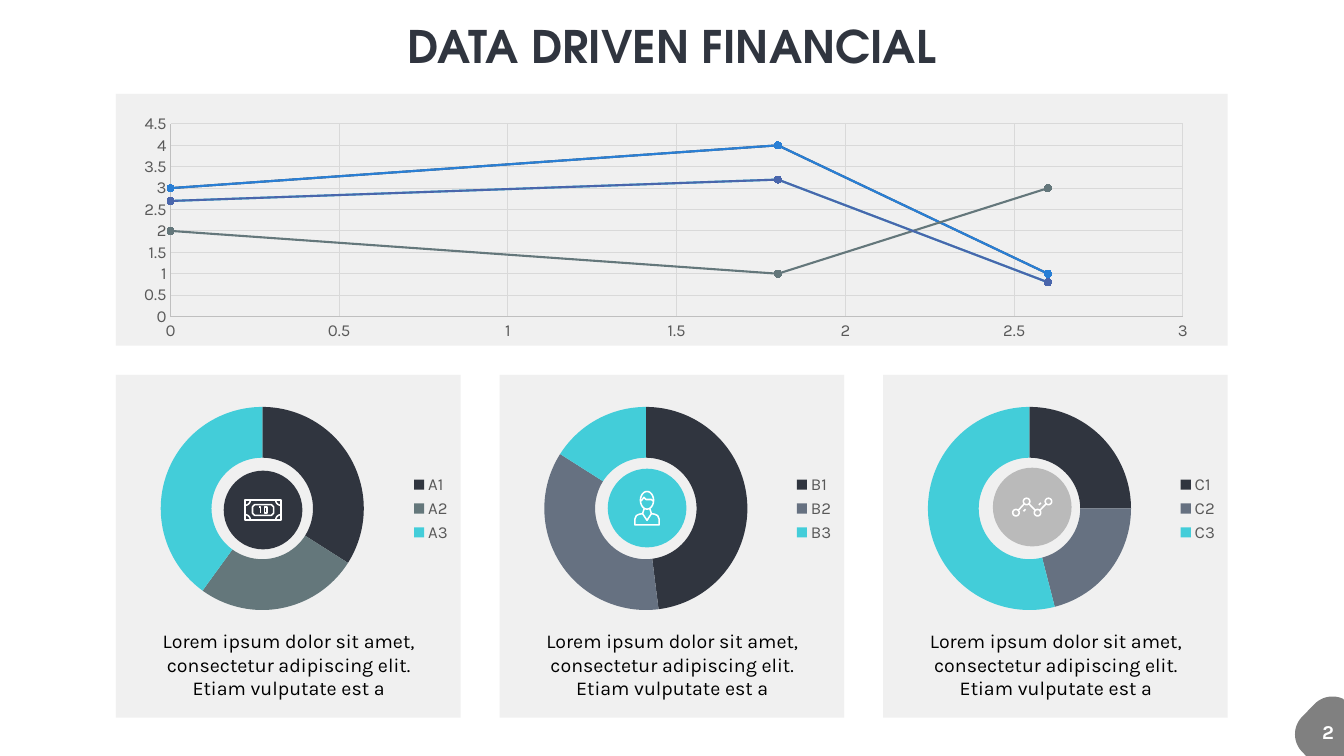
from math import cos, radians, sin

from lxml import etree
from pptx import Presentation
from pptx.chart.data import CategoryChartData, XyChartData
from pptx.dml.color import RGBColor
from pptx.enum.chart import (XL_CHART_TYPE, XL_LEGEND_POSITION,
                             XL_MARKER_STYLE, XL_TICK_MARK)
from pptx.enum.shapes import MSO_SHAPE
from pptx.enum.text import MSO_ANCHOR, PP_ALIGN
from pptx.oxml import parse_xml
from pptx.oxml.ns import qn
from pptx.util import Pt

DARK, CYAN, WHITE = "30353F", "43CDD9", "FFFFFF"
LOREM = ("Lorem ipsum dolor sit amet, consectetur adipiscing elit. "
         "Etiam vulputate est a")
CHART_NS = "http://schemas.openxmlformats.org/drawingml/2006/chart"


def rgb(color):
    """Turn a hex string into a colour."""
    return RGBColor.from_string(color)


def box(x, y, w, h):
    """Turn a place and size in points into lengths."""
    return Pt(x), Pt(y), Pt(w), Pt(h)


def write(tf, text, size=14, font="Karla", color="000000", bold=False,
          align=PP_ALIGN.CENTER, anchor=MSO_ANCHOR.TOP, wrap=True, inset=0):
    """Put one formatted paragraph into a text frame."""
    tf.word_wrap, tf.vertical_anchor = wrap, anchor
    tf.margin_left = tf.margin_right = Pt(inset)
    tf.margin_top = tf.margin_bottom = Pt(inset / 2)
    p = tf.paragraphs[0]
    p.alignment = align
    r = p.add_run()
    r.text = text
    r.font.size, r.font.name, r.font.bold = Pt(size), font, bold
    r.font.color.rgb = rgb(color)


def fill_shape(sp, color, opacity=None):
    """Fill a shape without line or shadow."""
    sp.shadow.inherit = False
    sp.fill.solid()
    sp.fill.fore_color.rgb = rgb(color)
    sp.line.fill.background()
    if opacity:
        clr = sp.fill._xPr.find(".//" + qn("a:srgbClr"))
        etree.SubElement(clr, qn("a:alpha")).set("val", str(opacity * 1000))


def panel(slide, x, y, w, h):
    """Draw a translucent grey panel."""
    sp = slide.shapes.add_shape(MSO_SHAPE.RECTANGLE, *box(x, y, w, h))
    fill_shape(sp, "CFCFCF", 30)


def arc(cx, cy, rx, ry, start, end):
    """List points along an elliptical arc."""
    return [(cx + rx * cos(radians(start + (end - start) * i / 24)),
             cy + ry * sin(radians(start + (end - start) * i / 24)))
            for i in range(25)]


def freeform(slide, contours, x=0, y=0):
    """Build one shape from contours given in points around x, y."""
    paths = [[(px * 100, py * 100) for px, py in c] for c in contours]
    builder = slide.shapes.build_freeform(*paths[0][0], scale=Pt(0.01))
    for i, path in enumerate(paths):
        if i:
            builder.move_to(*path[0])
        builder.add_line_segments(path[1:], close=False)
    sp = builder.convert_to_shape(Pt(x), Pt(y))
    sp.shadow.inherit = False
    return sp


def icon(slide, contours, x, y):
    """Draw a white line icon around x, y."""
    sp = freeform(slide, contours, x, y)
    sp.fill.background()
    sp.line.color.rgb = rgb(WHITE)
    sp.line.width = Pt(1.1)


def frame(w, h, cx=0):
    """List the points of a closed rectangle around cx, 0."""
    return [(cx - w, -h), (cx + w, -h), (cx + w, h), (cx - w, h), (cx - w, -h)]


def banknote():
    """Return the contours of the banknote icon."""
    corners = [arc(cx, cy, 4, 4, a, a + 90) for cx, cy, a in
               ((-13, -7.3, 0), (13, -7.3, 90), (13, 7.3, 180), (-13, 7.3, 270))]
    plaque = [(-7.5, -2.3), (-6, -3.8), (6, -3.8), (7.5, -2.3), (7.5, 2.3),
              (6, 3.8), (-6, 3.8), (-7.5, 2.3), (-7.5, -2.3)]
    one = [(-2.9, -2.2), (-1.8, -2.2), (-1.8, 2.2)]
    return [frame(13, 7.3), *corners, plaque, one, frame(1, 2, 2)]


def person():
    """Return the contours of the person icon."""
    fringe = [(-4.2, -5), (-2.2, -7.6), (-0.7, -6.1), (3, -6.1), (4.5, -5)]
    side = [(-2, 0.5), (-3.2, 4), (-5.8, 4.5), (-7.6, 5.4), (-8.7, 8), (-8.7, 12)]
    body = side + [(-x, y) for x, y in reversed(side)]
    return [arc(0, -5.5, 4.7, 6.3, 0, 360), fringe, body,
            [(-3.2, 4), (0, 8.8), (3.2, 4)]]


def trend():
    """Return the contours of the trend line icon."""
    nodes = [(-11.6, 4), (-4, -4), (3.8, 4), (11.6, -4)]
    rings = [arc(x, y, 2.3, 2.3, 0, 360) for x, y in nodes]
    edges = []
    for (x1, y1), (x2, y2) in zip(nodes, nodes[1:]):
        dy = 1.6 if y2 > y1 else -1.6
        edges.append([(x1 + 1.6, y1 + dy), (x2 - 1.6, y2 - dy)])
    return rings + edges + [[(-6.2, 3), (-4.8, 1.5)], [(4.8, -1.5), (6.2, -3)]]


def place_plot(chart, x, y, w, h):
    """Fix the inner plot area as fractions of the chart."""
    area = chart._chartSpace.find(".//" + qn("c:plotArea"))
    for old in area.findall(qn("c:layout")):
        area.remove(old)
    values = "".join(f'<c:{k} val="{v}"/>' for k, v in
                     zip("xywh", (x, y, w, h)))
    area.insert(0, parse_xml(
        f'<c:layout xmlns:c="{CHART_NS}"><c:manualLayout>'
        '<c:layoutTarget val="inner"/><c:xMode val="edge"/>'
        f'<c:yMode val="edge"/>{values}'
        '</c:manualLayout></c:layout>'))


def add_chart(slide, kind, place, data):
    """Add a chart with the common font and no title."""
    chart = slide.shapes.add_chart(kind, *box(*place), data).chart
    chart.has_title = False
    chart.font.size, chart.font.name = Pt(12), "Karla"
    chart.font.color.rgb = rgb("595959")
    return chart


def scatter(slide):
    """Add the smooth scatter chart."""
    first, second, third = (2.7, 3.2, 0.8), (2, 1, 3), (3, 4, 1)
    colors = ("4A66AC", "64777B", "297FD5", CYAN, "344357")
    data = XyChartData()
    for i, values in enumerate((first, second, third, first, third), 1):
        series = data.add_series(f"Series {i}")
        for x, y in zip((0, 1.8, 2.6), values):
            series.add_data_point(x, y)
    chart = add_chart(slide, XL_CHART_TYPE.XY_SCATTER_SMOOTH,
                      (90.7, 78.5, 777.6, 167.8), data)
    chart.has_legend = False
    place_plot(chart, 0.04, 0.06, 0.93, 0.82)
    for axis, top in ((chart.category_axis, 3), (chart.value_axis, 4.5)):
        axis.minimum_scale, axis.maximum_scale, axis.major_unit = 0, top, 0.5
        axis.major_tick_mark = axis.minor_tick_mark = XL_TICK_MARK.NONE
        axis.has_major_gridlines = True
        axis.tick_labels.number_format = "General"
        axis.tick_labels.number_format_is_linked = False
        for line, color in ((axis.format.line, "BFBFBF"),
                            (axis.major_gridlines.format.line, "D9D9D9")):
            line.color.rgb, line.width = rgb(color), Pt(0.75)
    for series, color in zip(chart.plots[0].series, colors):
        series.format.line.color.rgb = rgb(color)
        series.format.line.width = Pt(1.5)
        marker = series.marker
        marker.style, marker.size = XL_MARKER_STYLE.CIRCLE, 5
        marker.format.fill.solid()
        marker.format.fill.fore_color.rgb = rgb(color)
        marker.format.line.color.rgb = rgb(color)


def doughnut(slide, x, letter, values, colors):
    """Add one doughnut chart with its legend."""
    data = CategoryChartData()
    data.categories = [f"{letter}{i}" for i in (1, 2, 3)]
    data.add_series("Series 1", values)
    chart = add_chart(slide, XL_CHART_TYPE.DOUGHNUT,
                      (x, 280.8, 247.7, 164.9), data)
    chart.has_legend = True
    chart.legend.position = XL_LEGEND_POSITION.RIGHT
    chart.legend.include_in_layout = False
    place_plot(chart, 0.13, 0.06, 0.59, 0.88)
    plot = chart.plots[0]
    plot._element.find(qn("c:holeSize")).set("val", "75")
    for i, color in enumerate(colors):
        fmt = plot.series[0].points[i].format
        fmt.fill.solid()
        fmt.fill.fore_color.rgb = rgb(color)
        fmt.line.fill.background()


def card(slide, x, letter, values, middle, disc, cx, cy, contours):
    """Draw one card: panel, doughnut, icon disc and caption."""
    panel(slide, x, 267.8, 246.2, 244.8)
    doughnut(slide, x - 0.7, letter, values, (DARK, middle, CYAN))
    sp = slide.shapes.add_shape(MSO_SHAPE.OVAL,
                                *box(x + cx - 28.1, cy - 28.1, 56.2, 56.2))
    fill_shape(sp, disc)
    icon(slide, contours, x + cx, cy)
    tb = slide.shapes.add_textbox(*box(x + 18, 449.3, 211, 51.1))
    write(tb.text_frame, LOREM)


def page_badge(slide):
    """Draw the rounded corner badge with the page number."""
    outline = (arc(942.8, 524.5, 17.8, 17.8, 135, 225)
               + arc(951.8, 515.5, 18, 18, 225, 295)
               + [(960, 500), (960, 540), (933, 540), (930.2, 537.1)])
    fill_shape(freeform(slide, [outline]), "808080")
    tb = slide.shapes.add_textbox(*box(937.4, 510.5, 21.6, 24.5))
    write(tb.text_frame, "2", color=WHITE, bold=True, wrap=False, inset=7.2,
          align=PP_ALIGN.LEFT)


def main():
    """Build and save the slide."""
    prs = Presentation()
    prs.slide_width, prs.slide_height = Pt(960), Pt(540)
    s = prs.slides.add_slide(prs.slide_layouts[5])
    title = s.shapes.title
    title.left, title.top, title.width, title.height = box(288, 13, 384, 38.9)
    write(title.text_frame, "DATA DRIVEN FINANCIAL", size=32, color=DARK,
          font="TeX Gyre Adventor", bold=True, wrap=False,
          anchor=MSO_ANCHOR.MIDDLE)
    panel(s, 82.8, 67, 794.2, 180)
    scatter(s)
    cards = (
        ("A", (34, 26, 40), "64777B", DARK, 105.1, 364.3, banknote()),
        ("B", (48, 36, 16), "667181", CYAN, 105.4, 362.9, person()),
        ("C", (25, 21, 54), "667181", "BABABA", 106.5, 362.2, trend()))
    for i, content in enumerate(cards):
        card(s, 82.8 + 274 * i, *content)
    page_badge(s)
    prs.save("out.pptx")


if __name__ == "__main__":
    main()
